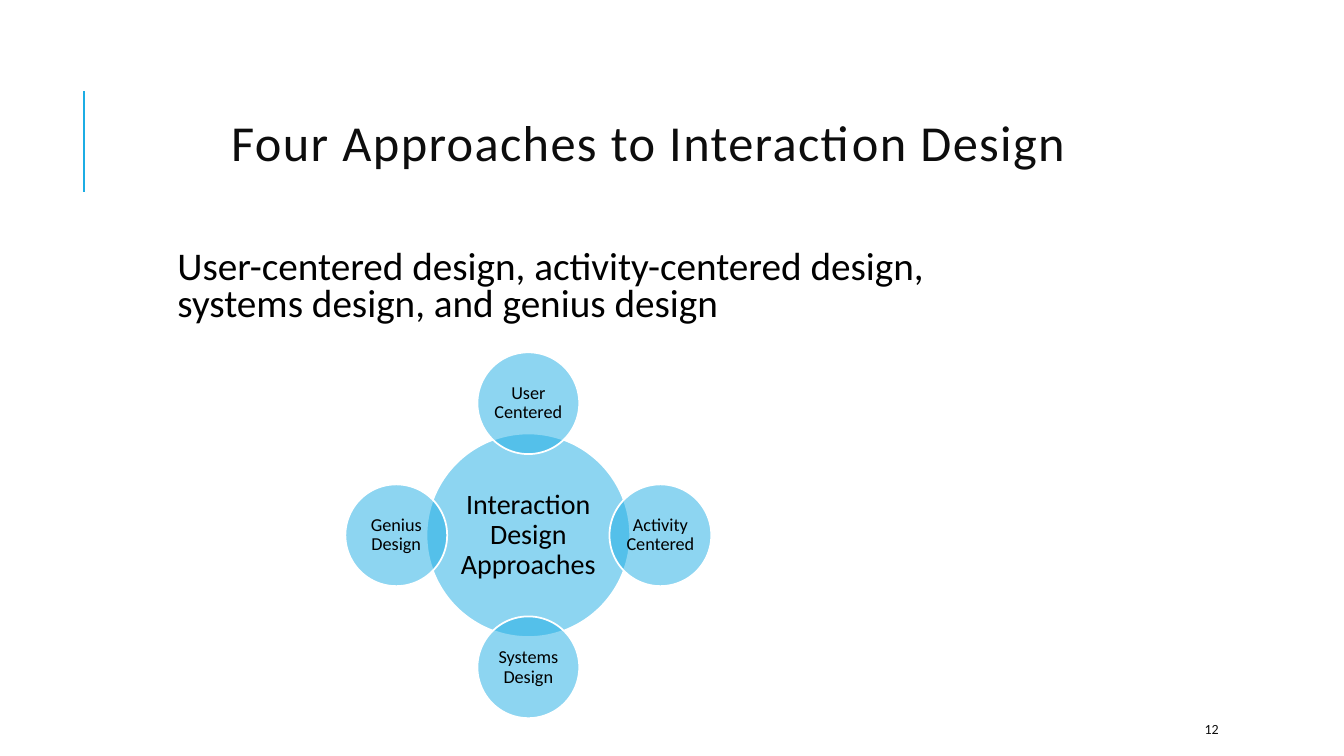
from lxml import etree
from pptx import Presentation
from pptx.dml.color import RGBColor
from pptx.enum.shapes import MSO_CONNECTOR, MSO_SHAPE
from pptx.enum.text import MSO_ANCHOR as ANCHOR, PP_ALIGN as ALIGN
from pptx.oxml.ns import qn
from pptx.util import Inches, Pt

BLUE, WHITE, BLACK, INK = "1CADE4", "FFFFFF", "000000", "0D0D0D"
HUB_X, HUB_Y = 5.24, 5.31
HUB_SIZE, SATELLITE_SIZE, ORBIT = 2.02, 1.01, 1.31
SATELLITES = [
    ("User Centered", 0, -1),
    ("Activity Centered", 1, 0),
    ("Systems Design", 0, 1),
    ("Genius Design", -1, 0),
]


def rgb(value):
    return RGBColor.from_string(value)


def write(sp, text, size, color, align=ALIGN.LEFT, anchor=ANCHOR.TOP,
          spacing=1.0, inset=None):
    tf = sp.text_frame
    tf.word_wrap = True
    tf.vertical_anchor = anchor
    if inset is not None:
        tf.margin_left = tf.margin_right = Inches(inset)
        tf.margin_top = tf.margin_bottom = Inches(inset)
    p = tf.paragraphs[0]
    p.alignment = align
    p.line_spacing = spacing
    r = p.add_run()
    r.text = text
    p.font.name = "Calibri"
    p.font.size = Pt(size)
    p.font.color.rgb = rgb(color)
    return r


def add_text(s, box, text, size, color, **layout):
    sp = s.shapes.add_textbox(*map(Inches, box))
    return write(sp, text, size, color, **layout)


def add_circle(s, x, y, diameter, text, size):
    sp = s.shapes.add_shape(
        MSO_SHAPE.OVAL, Inches(x - diameter / 2), Inches(y - diameter / 2),
        Inches(diameter), Inches(diameter))
    sp.shadow.inherit = False
    sp.fill.solid()
    sp.fill.fore_color.rgb = rgb(BLUE)
    # Half-transparent fill lets the overlaps show
    color = sp.fill._xPr.find(qn("a:solidFill"))[0]
    etree.SubElement(color, qn("a:alpha")).set("val", "50000")
    sp.line.color.rgb = rgb(WHITE)
    sp.line.width = Pt(1.25)
    write(sp, text, size, BLACK, align=ALIGN.CENTER, anchor=ANCHOR.MIDDLE,
          spacing=0.9, inset=0)


def add_accent_line(s, x, top, bottom):
    line = s.shapes.add_connector(
        MSO_CONNECTOR.STRAIGHT, Inches(x), Inches(bottom), Inches(x), Inches(top))
    line.line.color.rgb = rgb(BLUE)
    line.line.width = Pt(1.5)
    etree.SubElement(line._element.spPr, qn("a:effectLst"))


def main():
    prs = Presentation()
    prs.slide_width, prs.slide_height = Inches(13.33), Inches(7.5)
    s = prs.slides.add_slide(prs.slide_layouts[6])

    # Heading and introduction
    add_accent_line(s, 0.83, 0.9, 1.9)
    title = add_text(s, (1.12, 0.64, 10.63, 1.64),
                     "Four Approaches to Interaction Design", 36, INK,
                     align=ALIGN.CENTER, anchor=ANCHOR.MIDDLE, spacing=0.8)
    title._r.get_or_add_rPr().set("spc", "100")
    add_text(s, (1.71, 2.43, 8.38, 4.62),
             "User-centered design, activity-centered design, "
             "systems design, and genius design",
             28, BLACK, spacing=0.8, inset=0.05)

    # Slide number
    add_text(s, (11.85, 7.08, 1.06, 0.3), "12", 10, INK, anchor=ANCHOR.MIDDLE)

    # Hub with four approaches around it
    add_circle(s, HUB_X, HUB_Y, HUB_SIZE, "Interaction Design Approaches", 20)
    for name, dx, dy in SATELLITES:
        add_circle(s, HUB_X + dx * ORBIT, HUB_Y + dy * ORBIT,
                   SATELLITE_SIZE, name, 13)

    prs.save("out.pptx")


if __name__ == "__main__":
    main()
